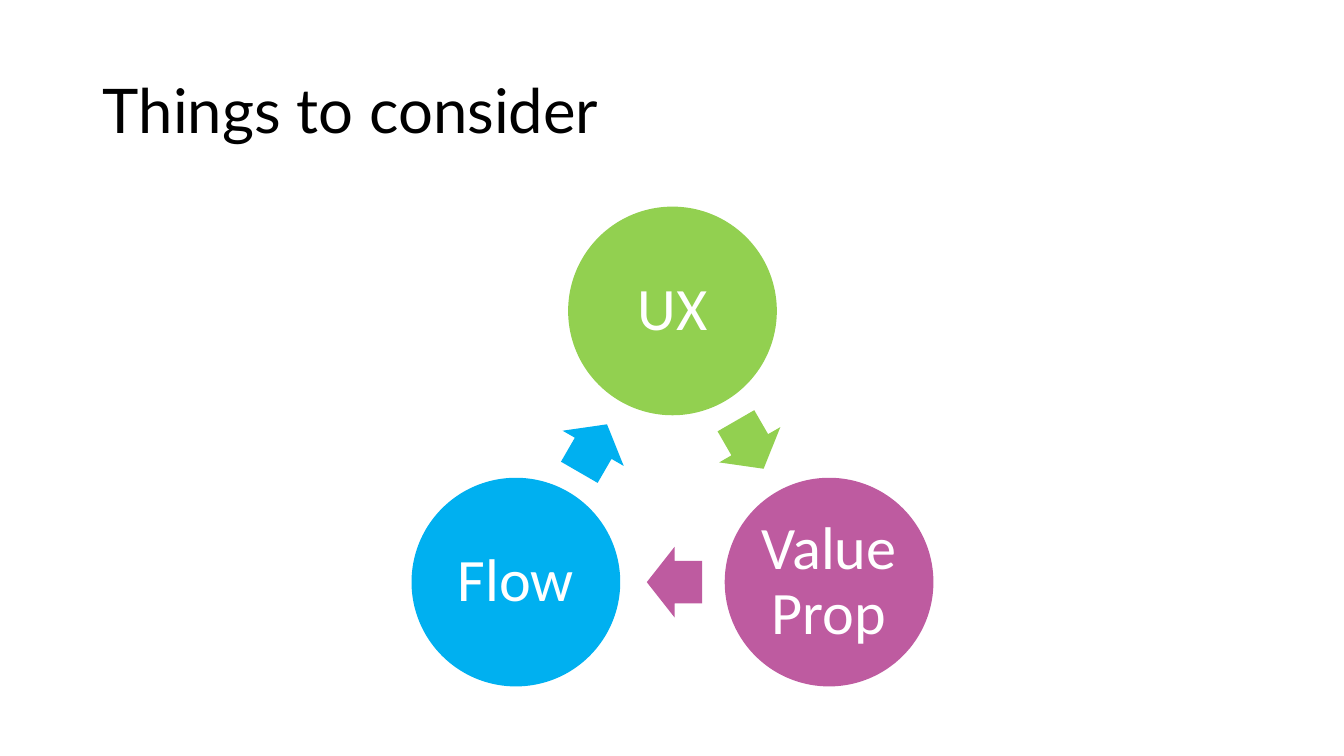
from math import cos, radians, sin

from pptx import Presentation
from pptx.dml.color import RGBColor
from pptx.enum.shapes import MSO_SHAPE
from pptx.enum.text import MSO_ANCHOR, MSO_AUTO_SIZE, PP_ALIGN
from pptx.util import Inches, Pt

COLORS = {
    "title": "000000",
    "label": "FFFFFF",
    "green": "92D050",
    "purple": "BE5BA0",
    "blue": "00B0F0",
}
STEPS = [("UX", "green"), ("Value Prop", "purple"), ("Flow", "blue")]
DISC = 2.07
ARROW_LENGTH, ARROW_WIDTH = 0.55, 0.7
ARROW_SETBACK = 0.02  # arrows sit slightly nearer the disc they leave


def write(frame, text, font, size, color, align):
    frame.word_wrap = True
    frame.auto_size = MSO_AUTO_SIZE.NONE
    frame.vertical_anchor = MSO_ANCHOR.MIDDLE
    para = frame.paragraphs[0]
    para.alignment = align
    para.line_spacing = 0.9
    span = para.add_run()
    span.text = text
    span.font.name = font
    span.font.size = Pt(size)
    span.font.color.rgb = RGBColor.from_string(COLORS[color])


def add_title(page, left, top, width, height):
    title = page.shapes.title
    title.left, title.top = Inches(left), Inches(top)
    title.width, title.height = Inches(width), Inches(height)
    write(title.text_frame, "Things to consider", "Lato", 44, "title", PP_ALIGN.LEFT)


def add_centered(page, kind, center_x, center_y, width, height, color):
    shape = page.shapes.add_shape(
        kind, Inches(center_x - width / 2), Inches(center_y - height / 2),
        Inches(width), Inches(height))
    shape.shadow.inherit = False
    shape.fill.solid()
    shape.fill.fore_color.rgb = RGBColor.from_string(COLORS[color])
    shape.line.fill.background()
    return shape


def add_cycle(page, left, top, width, height):
    # Three discs on a ring fill the box from top to bottom
    radius = (height - DISC) / 1.5
    middle_x = left + width / 2
    middle_y = top + DISC / 2 + radius
    for index, (label, color) in enumerate(STEPS):
        # Disc with its label
        angle = radians(120 * index - 90)
        disc = add_centered(page, MSO_SHAPE.OVAL, middle_x + radius * cos(angle),
                            middle_y + radius * sin(angle), DISC, DISC, color)
        frame = disc.text_frame
        frame.margin_left = frame.margin_right = Inches(0.06)
        frame.margin_top = frame.margin_bottom = Inches(0.06)
        write(frame, label, "Calibri", 43, "label", PP_ALIGN.CENTER)

        # Arrow halfway to the next disc
        halfway = radians(120 * index - 30)
        turn = 120 * index + 60
        arrow_x = middle_x + radius / 2 * cos(halfway) - ARROW_SETBACK * cos(radians(turn))
        arrow_y = middle_y + radius / 2 * sin(halfway) - ARROW_SETBACK * sin(radians(turn))
        arrow = add_centered(page, MSO_SHAPE.RIGHT_ARROW, arrow_x, arrow_y,
                             ARROW_LENGTH, ARROW_WIDTH, color)
        arrow.adjustments[0] = 0.6
        arrow.adjustments[1] = 0.5
        arrow.rotation = turn


def main():
    deck = Presentation()
    deck.slide_width, deck.slide_height = Inches(13.33), Inches(7.5)
    page = deck.slides.add_slide(deck.slide_layouts[5])
    add_title(page, 0.92, 0.4, 11.5, 1.45)
    add_cycle(page, 4.08, 2.05, 5.18, 4.76)
    deck.save("out.pptx")


if __name__ == "__main__":
    main()
